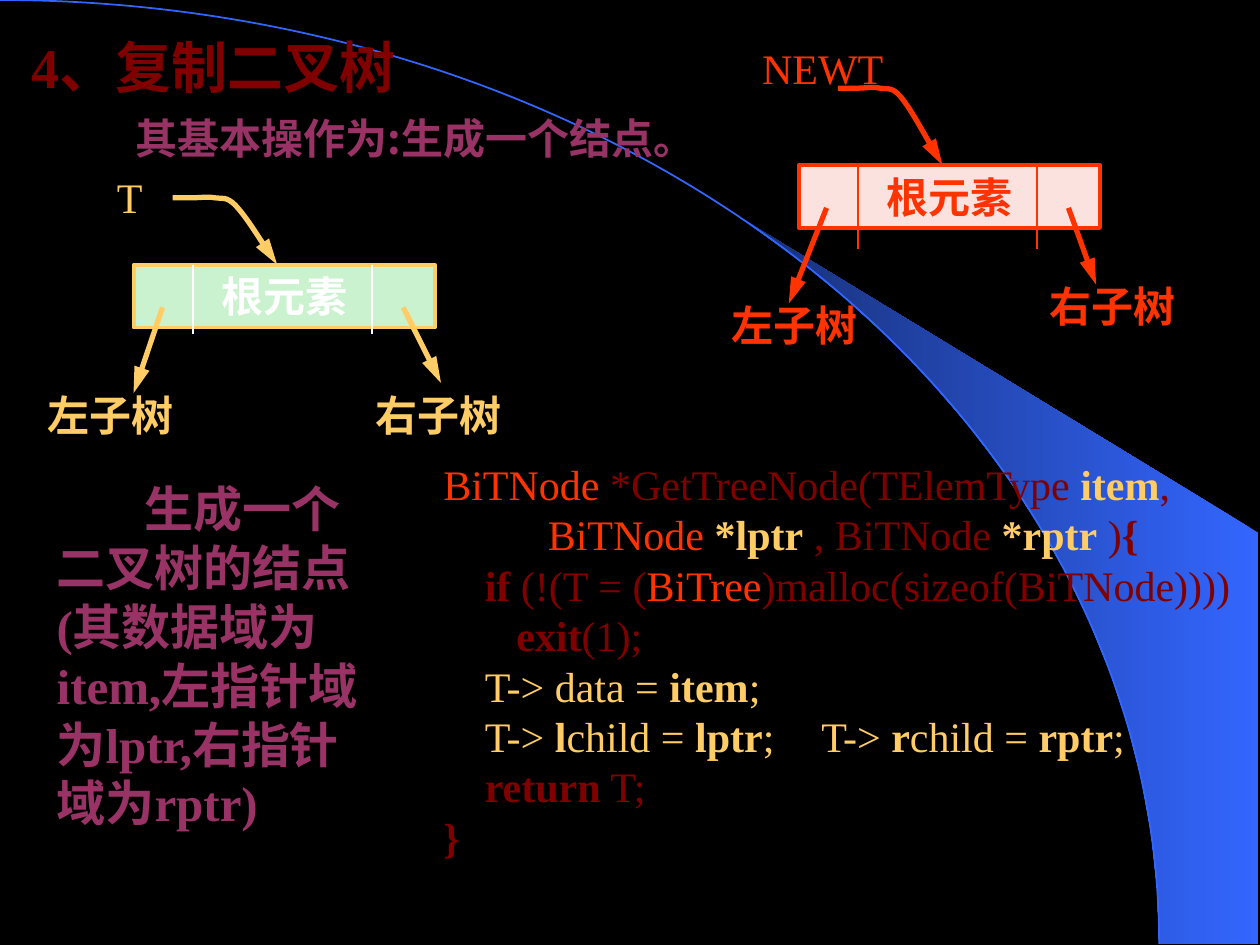
from dataclasses import dataclass
from math import asin, cos, pi, sin
from typing import NamedTuple

from lxml.etree import SubElement
from pptx import Presentation
from pptx.dml.color import RGBColor
from pptx.enum.shapes import MSO_CONNECTOR, MSO_SHAPE
from pptx.enum.text import MSO_ANCHOR, MSO_AUTO_SIZE, PP_ALIGN
from pptx.oxml.ns import qn
from pptx.util import Inches, Pt

COLUMNS, ROWS = 10, 7.5  # grid of one-inch cells
SERIF, HAN = "Times New Roman", "Noto Sans CJK SC"
RED, GOLD, MAROON, PLUM, WHITE = "FF3300", "FFCC66", "800000", "993366", "FFFFFF"
BLUE, NAVY, BLACK = "3366FF", "172F75", "000000"
ARC_WIDTH, ARC_HEIGHT = 9.2, 7.49

Point = tuple[float, float]


class Span(NamedTuple):
    text: str
    color: str = MAROON
    bold: bool = False


class CodeLine(NamedTuple):
    indent: float
    spans: list[Span]


class Child(NamedTuple):
    label: str
    start: Point
    end: Point
    label_at: Point


@dataclass
class TreeNode:
    """A three-field node; child positions are measured from its corner."""
    corner: Point
    name: str
    name_at: Point
    name_width: float
    fill: str
    color: str
    text_color: str
    divider_length: float
    pointer_drop: float
    children: list[Child]


NODES = [
    TreeNode((1.06, 2.1), "T", (0.83, 1.31), 0.4, "CAF2CE", GOLD, WHITE, 0.55, 0.53, [
        Child("左子树", (0.23, 0.34), (0, 1.02), (0.28, 3.04)),
        Child("右子树", (2.14, 0.34), (2.44, 0.94), (2.88, 3.04))]),
    TreeNode((6.34, 1.31), "NEWT", (5.95, 0.29), 1.16, "FBE2DF", RED, RED, 0.67, 0.61, [
        Child("左子树", (0.22, 0.34), (-0.08, 1.1), (5.71, 2.33)),
        Child("右子树", (2.14, 0.34), (2.36, 0.95), (8.23, 2.18))]),
]
NODE_SIZE = (2.39, 0.5)
DIVIDERS = (0.47, 1.89)
POINTER_WIDTH = 0.83
POINTER_CURVE = [  # cubic control points as shares of the pointer's width and drop
    (0, 0),
    (0.07, 0), (0.13, 0), (0.2, 0),
    (0.25, 0), (0.34, -0.02), (0.4, 0),
    (0.47, 0.02), (0.51, -0.03), (0.6, 0.11),
    (0.7, 0.28), (0.94, 0.87), (1, 1),
]

CODE = [
    CodeLine(0, [Span("BiTNode ", RED), Span("*GetTreeNode(TElemType "),
                 Span("item", GOLD, True), Span(",")]),
    CodeLine(0.83, [Span("BiTNode ", RED), Span("*lptr", GOLD, True), Span(" , BiTNode "),
                    Span("*rptr", GOLD, True), Span(" )"), Span("{", bold=True)]),
    CodeLine(0.33, [Span("if", bold=True), Span(" (!(T = ("), Span("BiTree", RED),
                    Span(")malloc(sizeof(BiTNode))))")]),
    CodeLine(0.58, [Span("exit", bold=True), Span("(1);")]),
    CodeLine(0.33, [Span("T-> data = ", GOLD), Span("item", GOLD, True), Span(";", GOLD)]),
    CodeLine(0.33, [Span("T-> ", GOLD), Span("l", GOLD, True), Span("child =", GOLD),
                    Span(" lptr", GOLD, True), Span(";\tT-> ", GOLD), Span("r", GOLD, True),
                    Span("child =", GOLD), Span(" rptr", GOLD, True), Span(";", GOLD)]),
    CodeLine(0.33, [Span("return", bold=True), Span(" T;")]),
    CodeLine(0, [Span("}", bold=True)]),
]
CODE_TAB = 2.96


def rgb(color: str) -> RGBColor:
    return RGBColor.from_string(color)


def place(shape, left: float, top: float, width: float, height: float) -> None:
    shape.left, shape.top = Inches(left), Inches(top)
    shape.width, shape.height = Inches(width), Inches(height)


def set_font(para, size: float, color: str = "", bold: bool = False, name: str = SERIF) -> None:
    font = para.font
    font.size, font.name, font.bold = Pt(size), name, bold
    if color:
        font.color.rgb = rgb(color)
    SubElement(font._element, qn("a:ea")).set("typeface", HAN)


def set_indent(para, first: float = 0, tab: float = 0) -> None:
    """Indent the first line, without a bullet; call before setting the font."""
    props = para._p.get_or_add_pPr()
    props.set("marL", "0")
    props.set("indent", str(Inches(first)))
    SubElement(props, qn("a:buNone"))
    if tab:
        stop = SubElement(SubElement(props, qn("a:tabLst")), qn("a:tab"))
        stop.set("pos", str(Inches(tab)))
        stop.set("algn", "l")


def set_line(shape, color: str, width: float, arrow: bool = False) -> None:
    shape.line.color.rgb = rgb(color)
    shape.line.width = Pt(width)
    if arrow:
        head = SubElement(shape.line._get_or_add_ln(), qn("a:tailEnd"))
        head.set("type", "triangle")
        head.set("len", "lg")


def add_label(page, text: str, at: Point, width: float, color: str,
              bold: bool = True, name: str = SERIF) -> None:
    box = page.shapes.add_textbox(0, 0, 0, 0)
    place(box, *at, width, 0.5)
    box.text_frame.word_wrap = False
    para = box.text_frame.paragraphs[0]
    para.text = text
    set_font(para, 24, color, bold, name)


def add_segment(page, start: Point, end: Point, color: str, width: float, arrow=False) -> None:
    segment = page.shapes.add_connector(MSO_CONNECTOR.STRAIGHT, *map(Inches, start + end))
    set_line(segment, color, width, arrow)
    SubElement(segment._element.spPr, qn("a:effectLst"))


def add_preset(page, kind, area: tuple):
    shape = page.shapes.add_shape(kind, 0, 0, 0, 0)
    place(shape, *area)
    shape.shadow.inherit = False
    return shape


def add_outline(page, points: list[Point], close: bool):
    corners = [(Inches(x), Inches(y)) for x, y in points]
    builder = page.shapes.build_freeform(*corners[0])
    builder.add_line_segments(corners[1:], close=close)
    outline = builder.convert_to_shape()
    outline.shadow.inherit = False
    return outline


def bend(outline) -> None:
    """Turn every three line segments into one cubic curve."""
    lines = list(outline._element.iter(qn("a:lnTo")))
    track = lines[0].getparent()
    for first in range(0, len(lines), 3):
        curve = SubElement(track, qn("a:cubicBezTo"))
        for line in lines[first:first + 3]:
            curve.append(line[0])
            track.remove(line)


def add_backdrop(page) -> None:
    first, steps = asin(5.89 / ARC_WIDTH), 15
    angles = [first + (pi / 2 - first) * step / steps for step in range(steps + 1)]
    inner = [(ARC_WIDTH * sin(a), ARC_HEIGHT * (1 - cos(a))) for a in angles]
    wedge = add_outline(page, inner + [(9.99, ARC_HEIGHT), (9.99, 4.23)], True)
    wedge.fill.gradient()
    wedge.fill.gradient_angle = 180
    for stop, color in zip(wedge.fill.gradient_stops, (BLUE, NAVY)):
        stop.color.rgb = rgb(color)
    wedge.line.fill.background()
    arc = add_preset(page, MSO_SHAPE.ARC, (-ARC_WIDTH, 0, 2 * ARC_WIDTH, 2 * ARC_HEIGHT))
    arc.fill.background()
    set_line(arc, BLUE, 1)


def add_pointer(page, tip: Point, drop: float, color: str) -> None:
    left, top = tip[0] - POINTER_WIDTH, tip[1] - drop
    points = [(left + x * POINTER_WIDTH, top + y * drop) for x, y in POINTER_CURVE]
    pointer = add_outline(page, points, False)
    bend(pointer)
    pointer.fill.background()
    set_line(pointer, color, 3, arrow=True)


def add_node(page, node: TreeNode) -> None:
    left, top = node.corner
    box = add_preset(page, MSO_SHAPE.RECTANGLE, (left, top, *NODE_SIZE))
    box.fill.solid()
    box.fill.fore_color.rgb = rgb(node.fill)
    set_line(box, node.color, 2.25)
    para = box.text_frame.paragraphs[0]
    para.text, para.alignment = "根元素", PP_ALIGN.CENTER
    set_font(para, 24, node.text_color, True)
    for x in DIVIDERS:
        add_segment(page, (left + x, top), (left + x, top + node.divider_length),
                    node.text_color, 1)
    add_pointer(page, (left + 1.14, top), node.pointer_drop, node.color)
    add_label(page, node.name, node.name_at, node.name_width, node.color, bold=False)
    for child in node.children:
        start, end = ((left + x, top + y) for x, y in (child.start, child.end))
        add_segment(page, start, end, node.color, 3, arrow=True)
        add_label(page, child.label, child.label_at, 1.2, node.color)


def fill_placeholder(holder, area: tuple, lines: list[str], size: float, color: str,
                     first: float = 0) -> None:
    place(holder, *area)
    frame = holder.text_frame
    frame.text = "\n".join(lines)
    frame.auto_size, frame.vertical_anchor = MSO_AUTO_SIZE.NONE, MSO_ANCHOR.TOP
    for number, para in enumerate(frame.paragraphs):
        para.alignment, para.space_before = PP_ALIGN.LEFT, Pt(0)
        set_indent(para, 0 if number else first)
        set_font(para, size, color, True)


def add_code(page) -> None:
    box = page.shapes.add_textbox(0, 0, 0, 0)
    place(box, 3.42, 3.59, 6.47, 3.3)
    frame = box.text_frame
    frame.word_wrap = False
    for number, line in enumerate(CODE):
        para = frame.add_paragraph() if number else frame.paragraphs[0]
        has_tab = any("\t" in span.text for span in line.spans)
        set_indent(para, line.indent, CODE_TAB if has_tab else 0)
        set_font(para, 24)
        for span in line.spans:
            run = para.add_run()
            run.text, run.font.bold = span.text, span.bold
            run.font.color.rgb = rgb(span.color)


def main() -> None:
    deck = Presentation()
    deck.slide_width, deck.slide_height = Inches(COLUMNS), Inches(ROWS)
    page = deck.slides.add_slide(deck.slide_layouts[1])
    page.background.fill.solid()
    page.background.fill.fore_color.rgb = rgb(BLACK)
    title, body = page.placeholders
    add_backdrop(page)
    for holder in (title, body):  # text stands in front of the backdrop
        page.shapes._spTree.append(holder._element)
    fill_placeholder(title, (0.15, 0.21, 3.2, 0.64), ["4、复制二叉树"], 32, MAROON)
    add_label(page, "其基本操作为:生成一个结点。", (0.98, 0.84), 4.89, PLUM, name=HAN)
    for node in NODES:
        add_node(page, node)
    add_code(page)
    fill_placeholder(body, (0.35, 3.75, 2.76, 2.9),
                     ["生成一个二叉树的结点", "(其数据域为item,左指针域为lptr,右指针域为rptr)"],
                     28, PLUM, first=0.7)
    deck.save("out.pptx")


if __name__ == "__main__":
    main()
